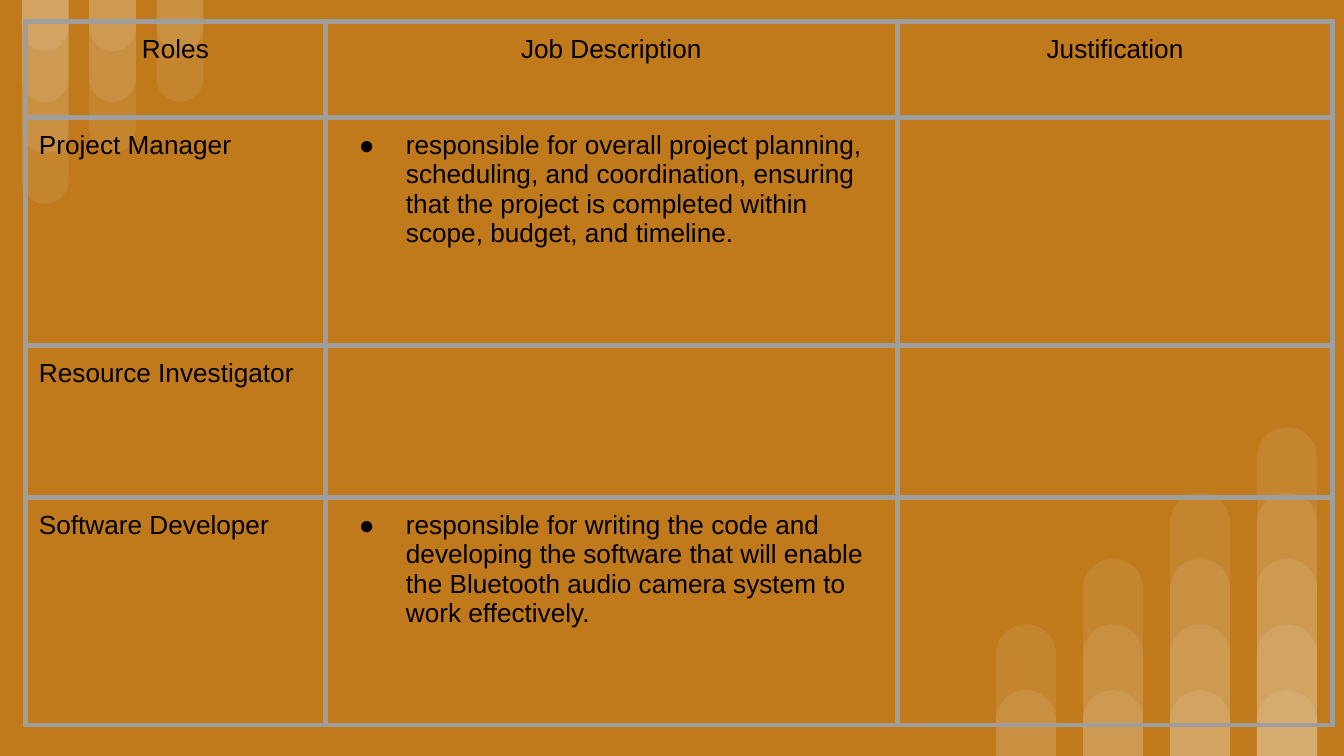
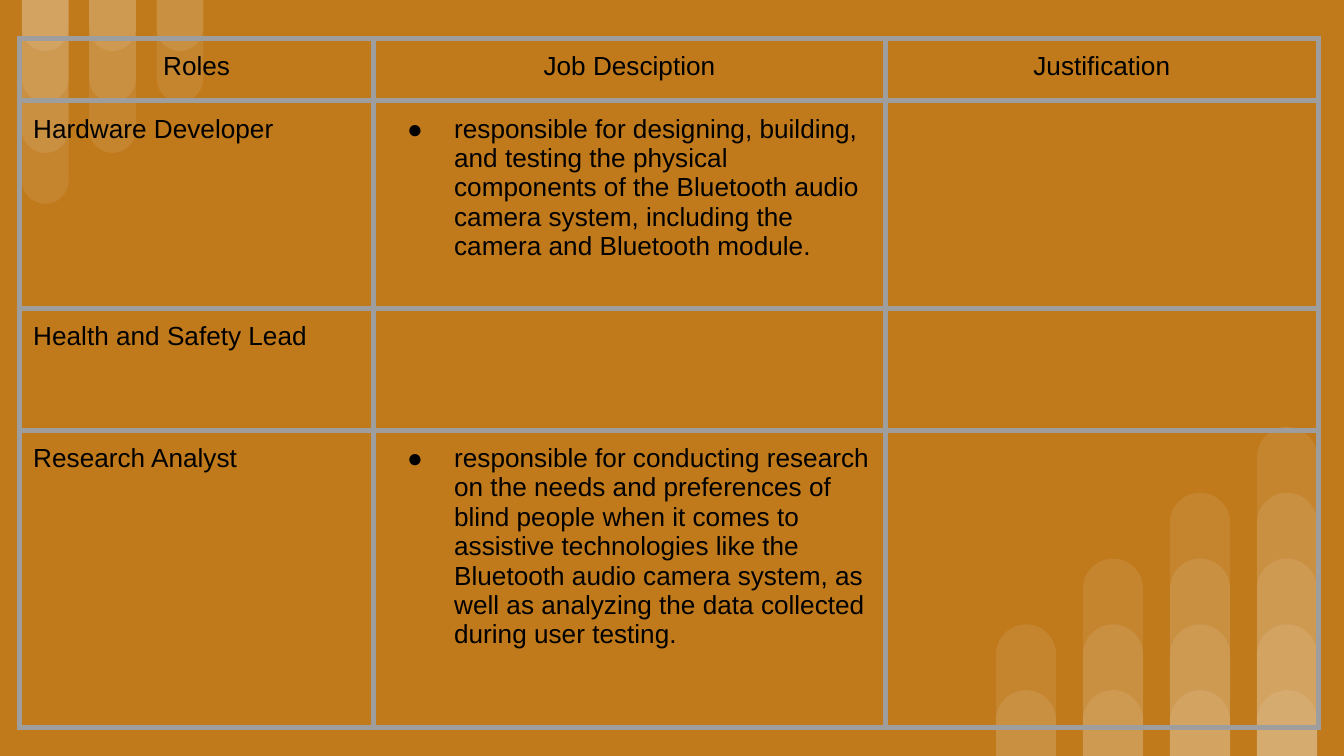
from lxml.etree import SubElement
from pptx import Presentation
from pptx.dml.color import RGBColor
from pptx.enum.shapes import MSO_SHAPE as Shape
from pptx.enum.text import PP_ALIGN as Align
from pptx.oxml import parse_xml
from pptx.oxml.ns import nsdecls, qn
from pptx.util import Pt

COLORS = {"background": "C0791B", "bar": "FFFFFF", "border": "9E9E9E", "text": "000000"}
SLIDE_WIDTH, SLIDE_HEIGHT = 720, 405
BAR_OPACITY = 9  # percent
BORDER_WIDTH = 3
CELL_INSET = 7.2

# Each slide: table corner, column widths, row heights, then rows of text
ROLE_SLIDES = [
    {
        "corner": (13.7, 11.4),
        "columns": (160.6, 306.5, 233.3),
        "heights": (51.5, 122, 81.6, 122),
        "rows": [
            ("Roles", "Job Description", "Justification"),
            ("Project Manager",
             "responsible for overall project planning, scheduling, and coordination, "
             "ensuring that the project is completed within scope, budget, and timeline.", ""),
            ("Resource Investigator", "", ""),
            ("Software Developer",
             "responsible for writing the code and developing the software that will "
             "enable the Bluetooth audio camera system to work effectively.", ""),
        ],
    },
    {
        "corner": (10.6, 20.5),
        "columns": (189.5, 274.3, 231.8),
        "heights": (33.6, 111.1, 65.4, 159.4),
        "rows": [
            ("Roles", "Job Desciption", "Justification"),
            ("Hardware Developer",
             "responsible for designing, building, and testing the physical components of "
             "the Bluetooth audio camera system, including the camera and Bluetooth module.", ""),
            ("Health and Safety Lead", "", ""),
            ("Research Analyst",
             "responsible for conducting research on the needs and preferences of blind "
             "people when it comes to assistive technologies like the Bluetooth audio camera "
             "system, as well as analyzing the data collected during user testing.", ""),
        ],
    },
]


def rgb(name):
    return RGBColor.from_string(COLORS[name])


def add_bar(cluster, left, top, width, height, rotation):
    """A translucent bar with one rounded end."""
    bar = cluster.shapes.add_shape(
        Shape.ROUND_2_SAME_RECTANGLE, Pt(left), Pt(top), Pt(width), Pt(height))
    bar.adjustments[0], bar.adjustments[1] = 0.5, 0
    bar.rotation = rotation
    bar.shadow.inherit = False
    bar.line.fill.background()
    bar.fill.solid()
    bar.fill.fore_color.rgb = rgb("bar")
    color = bar.element.spPr.find(qn("a:solidFill")).find(qn("a:srgbClr"))
    SubElement(color, qn("a:alpha"), val=str(BAR_OPACITY * 1000))


def add_hanging_bars(cluster):
    for column in range(3):
        for level in range(1, 5 - column):
            add_bar(cluster, 11.7 + 36.1 * column, 0, 25, 27.3 * level, 180)


def add_standing_bars(cluster):
    for column in range(4):
        for level in range(1, column + 3):
            height = 35.25 * level
            add_bar(cluster, 533.6 + 46.6 * column, SLIDE_HEIGHT - height, 32.2, height, 0)


def decorate_layout(layout, slide):
    """Build the bars on a slide, then move them to the layout all slides share."""
    layout.background.fill.solid()
    layout.background.fill.fore_color.rgb = rgb("background")
    next_id = 100
    for position, add_bars in enumerate((add_hanging_bars, add_standing_bars), 2):
        cluster = slide.shapes.add_group_shape()
        add_bars(cluster)
        for properties in cluster.element.iter(qn("p:cNvPr")):
            properties.set("id", str(next_id))
            next_id += 1
        layout.shapes.element.insert(position, cluster.element)


def add_borders(cell):
    properties = cell._tc.get_or_add_tcPr()
    for position, side in enumerate(("lnL", "lnR", "lnT", "lnB")):
        properties.insert(position, parse_xml(
            f'<a:{side} {nsdecls("a")} w="{Pt(BORDER_WIDTH)}"><a:solidFill>'
            f'<a:srgbClr val="{COLORS["border"]}"/></a:solidFill></a:{side}>'))


def add_bullet(paragraph):
    properties = paragraph._p.get_or_add_pPr()
    properties.set("marL", str(Pt(36)))
    properties.set("indent", str(Pt(-25.2)))
    color = SubElement(properties, qn("a:buClr"))
    SubElement(color, qn("a:srgbClr"), val=COLORS["text"])
    SubElement(properties, qn("a:buFont"), typeface="Arial")
    SubElement(properties, qn("a:buChar"), char="●")


def fill_cell(cell, text, is_header, is_bulleted):
    cell.fill.background()
    add_borders(cell)
    cell.margin_left = cell.margin_right = Pt(CELL_INSET)
    cell.margin_top = cell.margin_bottom = Pt(CELL_INSET)
    cell.text = text
    paragraph = cell.text_frame.paragraphs[0]
    if is_header:
        paragraph.alignment = Align.CENTER
    if is_bulleted:
        add_bullet(paragraph)
    paragraph.font.name = "Arial"
    paragraph.font.size = Pt(14)
    paragraph.font.color.rgb = rgb("text")


def add_roles_table(slide, corner, columns, heights, rows):
    left, top = corner
    roles = slide.shapes.add_table(
        len(heights), len(columns), Pt(left), Pt(top), Pt(sum(columns)), Pt(sum(heights))).table
    roles.first_row = roles.horz_banding = False
    for column, width in zip(roles.columns, columns):
        column.width = Pt(width)
    for r, (row, height) in enumerate(zip(roles.rows, heights)):
        row.height = Pt(height)
        for c, text in enumerate(rows[r]):
            is_description = r > 0 and c == 1 and text != ""
            fill_cell(roles.cell(r, c), text, r == 0, is_description)


def main():
    deck = Presentation()
    deck.slide_width, deck.slide_height = Pt(SLIDE_WIDTH), Pt(SLIDE_HEIGHT)
    blank = deck.slide_layouts[6]
    slides = [deck.slides.add_slide(blank) for _ in ROLE_SLIDES]
    decorate_layout(blank, slides[0])
    for slide, content in zip(slides, ROLE_SLIDES):
        add_roles_table(slide, **content)
    deck.save("out.pptx")


main()
